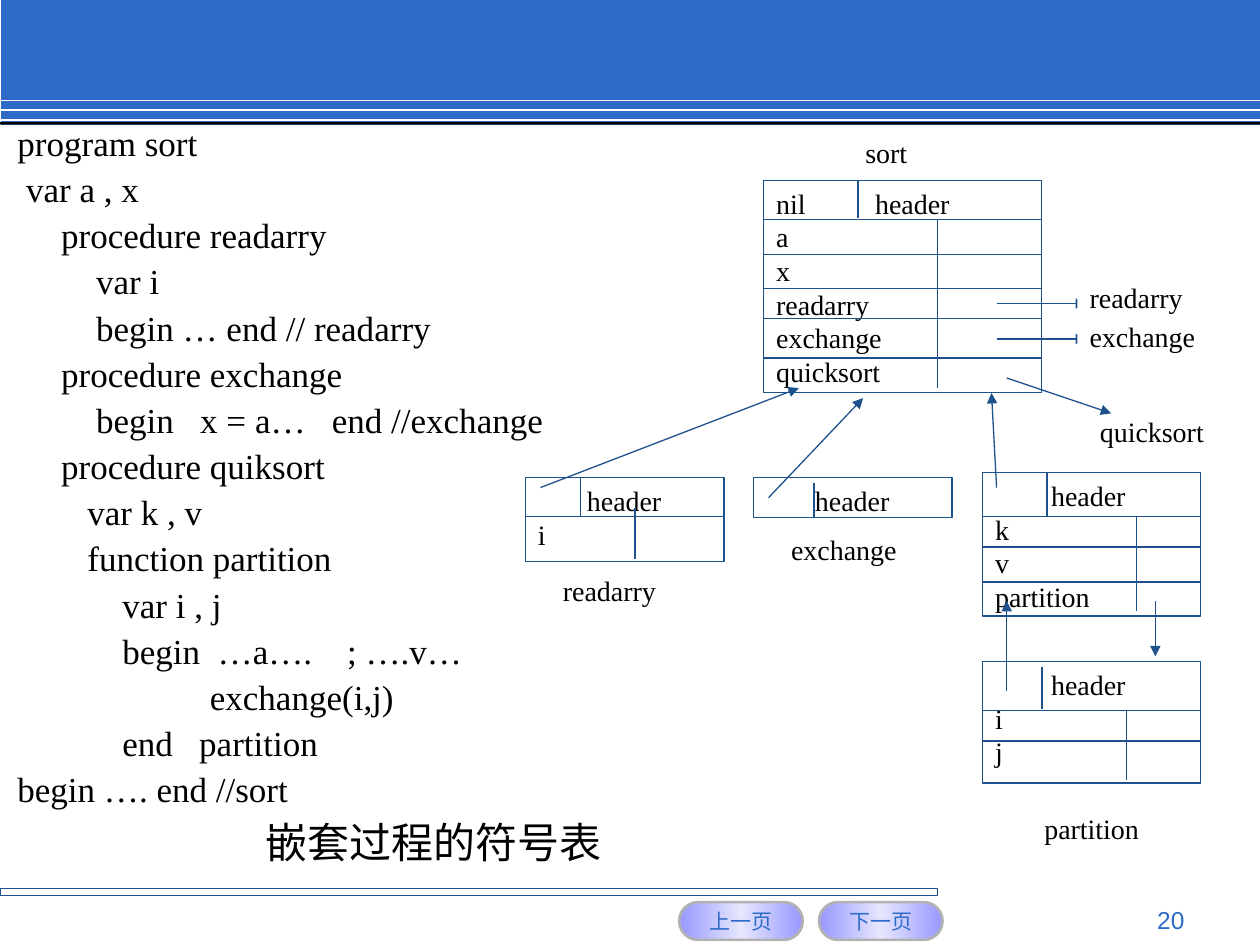
from copy import deepcopy

from lxml import etree
from pptx import Presentation
from pptx.dml.color import RGBColor
from pptx.enum.shapes import MSO_CONNECTOR, MSO_SHAPE
from pptx.enum.text import MSO_ANCHOR, MSO_AUTO_SIZE, PP_ALIGN
from pptx.oxml.ns import qn
from pptx.util import Pt

RECT = MSO_SHAPE.RECTANGLE
PILL = MSO_SHAPE.ROUNDED_RECTANGLE
STRAIGHT = MSO_CONNECTOR.STRAIGHT
TOP, MIDDLE = MSO_ANCHOR.TOP, MSO_ANCHOR.MIDDLE
LEFT, CENTER, RIGHT = PP_ALIGN.LEFT, PP_ALIGN.CENTER, PP_ALIGN.RIGHT
FIXED = MSO_AUTO_SIZE.NONE

BLUE, NAVY, WHITE, BLACK = "2D6BC7", "1D528D", "FFFFFF", "000000"
SERIF, SANS = "Times New Roman", "Arial"
HEADER_TAB = 56.5

CODE = """program sort
 var a , x
     procedure readarry
         var i
         begin … end // readarry
     procedure exchange
         begin   x = a…   end //exchange
     procedure quiksort
        var k , v
        function partition
            var i , j
            begin  …a….    ; ….v…
                      exchange(i,j)
            end   partition
begin …. end //sort""".split("\n")

SYMBOL_TABLES = [
    ((436.5, 103, 158.5, 121.5),
     ["nil\theader", "a", "x", "readarry", "exchange", "quicksort"], 0,
     [125.3, 145.4, 164.9, 182.2, 204.5],
     [(490.3, 103, 124.6), (535.7, 125.3, 221.8)]),
    ((300.3, 272.9, 113.4, 48), ["header", "i"], 28, [295.2],
     [(331.9, 272.9, 295.2), (362.9, 290.2, 319.7)]),
    ((430.6, 272.9, 113.4, 22.7), ["header"], 28, [],
     [(465.1, 275.8, 295.2)]),
    ((561.6, 270, 124.6, 82.1), ["header", "k", "v", "partition"], 32,
     [295.2, 312.5, 332.6],
     [(598.3, 270, 295.2), (649.4, 295.2, 349.2)]),
    ((561.6, 378, 124.6, 69.5), ["header", "i", "j"], 32, [406.1, 423.4],
     [(595.4, 380.9, 405.4), (643.7, 406.1, 445.7)]),
]
LABELS = [
    ("sort", 487.4, 74.2, 50.4),
    ("readarry", 314.6, 324, 67.7),
    ("exchange", 445, 301, 74.2),
    ("quicksort", 621.4, 233.3, 73.4),
    ("partition", 589.7, 460.1, 68.4),
]
ENTRY_LABELS = [("exchange", 615.6, 179.3, 74.2), ("readarry", 615.6, 157, 67.7)]
LINKS = [
    (308.9, 278.6, 456.5, 221.8),
    (439.2, 284.4, 493.2, 227.5),
    (569.5, 278.6, 566.6, 224.6),
    (575.3, 394.6, 575.3, 343.4),
    (575.3, 216, 635, 236.2),
    (569.5, 193.7, 620.6, 193.7),
    (569.5, 173.5, 620.6, 173.5),
    (660.2, 343.4, 660.2, 375.1),
]


def rgb(hex_code):
    """Turn a hex string into a colour."""
    return RGBColor.from_string(hex_code)


def apply(target, values):
    """Set attributes from a dict of format values."""
    for name, value in values.items():
        setattr(target, name, value)


def add_box(slide, box, fill=None, line=None, width=0.75, kind=RECT):
    """Add a preset shape with plain fill and outline."""
    shape = slide.shapes.add_shape(kind, *map(Pt, box))
    shape.shadow.inherit = False
    for part, colour in ((shape.fill, fill), (shape.line.fill, line)):
        if colour:
            part.solid()
            part.fore_color.rgb = rgb(colour)
        else:
            part.background()
    if line:
        shape.line.width = Pt(width)
    return shape


def write(shape, lines, size, font=SERIF, colour=BLACK, align=LEFT, spacing=None, **frame_format):
    """Write one paragraph a line and return the paragraphs."""
    frame = shape.text_frame
    apply(frame, {"word_wrap": True, "vertical_anchor": TOP, "auto_size": FIXED, **frame_format})
    for index, text in enumerate(lines):
        paragraph = frame.add_paragraph() if index else frame.paragraphs[0]
        run = paragraph.add_run()
        run.text = text
        paragraph.alignment = align
        if spacing:
            paragraph.line_spacing = Pt(spacing)
        apply(run.font, {"size": Pt(size), "name": font})
        run.font.color.rgb = rgb(colour)
    return frame.paragraphs


def add_text(slide, box, lines, size, **text_format):
    """Add a text box."""
    return write(slide.shapes.add_textbox(*map(Pt, box)), lines, size, **text_format)


def add_rule(slide, ends, colour=NAVY, width=0.75, arrow=False):
    """Add a straight line, with an arrowhead at its end if asked."""
    rule = slide.shapes.add_connector(STRAIGHT, *map(Pt, ends))
    rule.line.color.rgb = rgb(colour)
    rule.line.width = Pt(width)
    if arrow:
        line_format = rule._element.spPr.find(qn("a:ln"))
        etree.SubElement(line_format, qn("a:tailEnd"), type="triangle")
    etree.SubElement(rule._element.spPr, qn("a:effectLst"))


def add_symbol_table(slide, box, lines, header_indent, rows, columns):
    """Add a symbol table: a box of entries crossed by row and column rules."""
    left, _, width, _ = box
    header = write(add_box(slide, box, WHITE, NAVY), lines, 16, spacing=19.2)[0]
    properties = header._p.get_or_add_pPr()
    if header_indent:
        properties.set("marL", str(Pt(header_indent)))
        properties.set("indent", "0")
    else:
        tabs = etree.SubElement(properties, qn("a:tabLst"))
        etree.SubElement(tabs, qn("a:tab"), pos=str(Pt(HEADER_TAB)), algn="l")
    for y in rows:
        add_rule(slide, (left, y, left + width, y))
    for x, top, bottom in columns:
        add_rule(slide, (x, top, x, bottom))


def add_label(slide, text, left, top, width):
    """Add a table name on a white ground."""
    write(add_box(slide, (left, top, width, 26.6), WHITE), [text], 16, margin_right=0)


def add_button(slide, text, left):
    """Add a navigation pill with a three-stop gradient."""
    pill = add_box(slide, (left, 515.5, 70.6, 21.6), BLUE, "B2B2B2", 1.5, PILL)
    pill.adjustments[0] = 0.5
    pill.fill.gradient()
    pill.fill.gradient_angle = 0
    stop_list = pill._element.spPr.find(qn("a:gradFill")).find(qn("a:gsLst"))
    stop_list.append(deepcopy(stop_list[0]))
    stops = zip(pill.fill.gradient_stops, (0, 0.5, 1), ("9999FF", "E6E6FF", "9999FF"))
    for stop, position, colour in stops:
        stop.position = position
        stop.color.rgb = rgb(colour)
    write(pill, [text], 12, SANS, BLUE, CENTER, vertical_anchor=MIDDLE, word_wrap=False)


def add_page_frame(slide):
    """Add the top band, the footer bar, the buttons and the page number."""
    add_box(slide, (0.7, 0, 719.3, 71.3), BLUE)
    for y in (57.4, 62.9, 68.4):
        add_rule(slide, (0, y, 720, y), WHITE, 1)
    add_box(slide, (0, 69.8, 720, 1.5), BLACK)
    add_box(slide, (0, 507.6, 535.7, 4.3), None, NAVY)
    add_button(slide, "上一页", 388.1)
    add_button(slide, "下一页", 468)
    add_text(slide, (516.2, 513.4, 167.8, 19.4), ["20"], 14,
             font=SANS, colour=BLUE, align=RIGHT)


def main():
    """Build the slide and save it."""
    deck = Presentation()
    apply(deck, {"slide_width": Pt(720), "slide_height": Pt(540)})
    slide = deck.slides.add_slide(deck.slide_layouts[6])
    add_page_frame(slide)
    add_text(slide, (2.9, 63.4, 329, 403.2), CODE, 20, spacing=26.4)
    add_text(slide, (144.7, 463, 205.9, 36), ["嵌套过程的符号表"], 24, margin_right=0)
    for table in SYMBOL_TABLES:
        add_symbol_table(slide, *table)
    for label in LABELS:
        add_label(slide, *label)
    for link in LINKS:
        add_rule(slide, link, arrow=True)
    for label in ENTRY_LABELS:
        add_label(slide, *label)
    deck.save("out.pptx")


if __name__ == "__main__":
    main()
